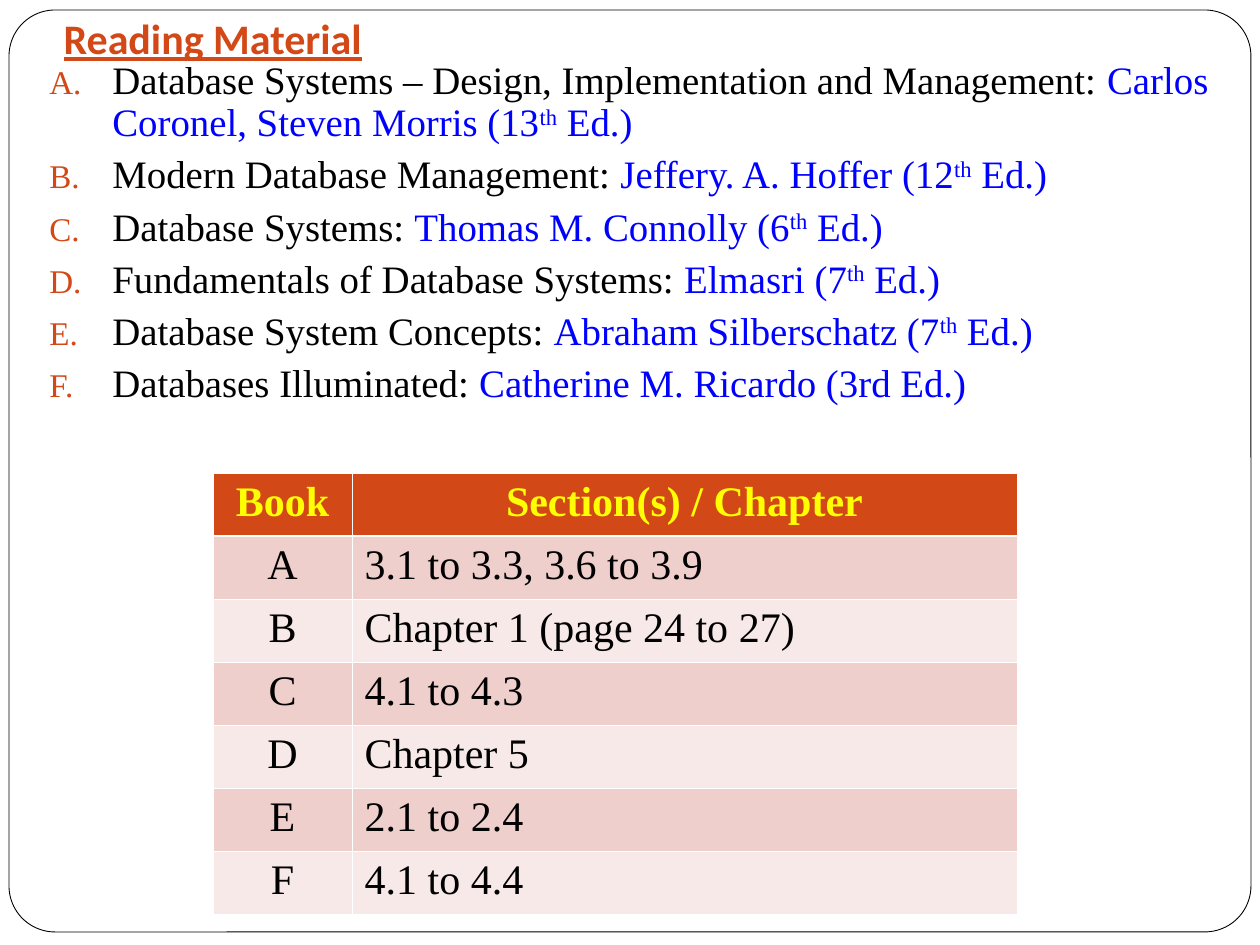
from lxml import etree
from pptx import Presentation
from pptx import util as u
from pptx.dml.color import RGBColor
from pptx.enum import shapes, text
from pptx.oxml import ns

PX_PER_INCH = 126
SERIF = "Times New Roman"
ORANGE, BLUE, YELLOW = "D34817", "0000FF", "FFFF00"
BLACK, WHITE = "000000", "FFFFFF"
BAND_COLOURS = ["EFCFCC", "F7E9E7"]

# Title, authors, edition suffix raised above the line, rest of the edition
BOOKS = [
    ("Database Systems – Design, Implementation and Management: ",
     "Carlos Coronel, Steven Morris (13", "th", " Ed.)"),
    ("Modern Database Management: ", "Jeffery. A. Hoffer (12", "th", " Ed.)"),
    ("Database Systems: ", "Thomas M. Connolly (6", "th", " Ed.)"),
    ("Fundamentals of Database Systems: ", "Elmasri (7", "th", " Ed.)"),
    ("Database System Concepts: ", "Abraham Silberschatz (7", "th", " Ed.)"),
    ("Databases Illuminated: ", "Catherine M. Ricardo (3rd Ed.)", "", ""),
]
CHAPTERS = [
    ("Book", "Section(s) / Chapter"),
    ("A", "3.1 to 3.3, 3.6 to 3.9"),
    ("B", "Chapter 1 (page 24 to 27)"),
    ("C", "4.1 to 4.3"),
    ("D", "Chapter 5"),
    ("E", "2.1 to 2.4"),
    ("F", "4.1 to 4.4"),
]


def px(length):
    return u.Emu(round(length * 914400 / PX_PER_INCH))


def rgb(colour):
    return RGBColor.from_string(colour)


def add_element(parent, tag, **attributes):
    return etree.SubElement(parent, ns.qn(tag), attributes)


def set_font(font, size, colour, name=SERIF, bold=False):
    font.name, font.size, font.bold = name, u.Pt(size), bold
    font.color.rgb = rgb(colour)


def add_frame(slide, box):
    """Put the rounded page frame behind the title."""
    frame = slide.shapes.add_shape(
        shapes.MSO_SHAPE.ROUNDED_RECTANGLE, *map(px, box))
    frame.adjustments[0] = 0.05
    frame.shadow.inherit = False
    frame.fill.solid()
    frame.fill.fore_color.rgb = rgb(WHITE)
    frame.line.color.rgb = rgb(BLACK)
    frame.line.width = u.Pt(0.5)
    slide.shapes.title._element.addprevious(frame._element)


def place_title(slide, box, wording):
    title = slide.shapes.title
    title.left, title.top, title.width, title.height = map(px, box)
    frame = title.text_frame
    frame.text = wording
    frame.auto_size = text.MSO_AUTO_SIZE.NONE
    frame.vertical_anchor = text.MSO_ANCHOR.BOTTOM
    frame.margin_left = frame.margin_right = frame.margin_bottom = u.Inches(0.1)
    frame.margin_top = u.Inches(0.05)
    paragraph = frame.paragraphs[0]
    paragraph.alignment = text.PP_ALIGN.LEFT
    set_font(paragraph.font, 24, ORANGE, "Calibri", bold=True)
    paragraph.font.underline = True


def add_letter(paragraph):
    """Number the paragraph A., B., C. with a hanging indent."""
    properties = paragraph._p.get_or_add_pPr()
    indent = px(63)
    properties.set("marL", str(indent))
    properties.set("indent", str(-indent))
    colour = add_element(properties, "a:buClr")
    add_element(colour, "a:srgbClr", val=ORANGE)
    add_element(properties, "a:buSzPct", val="85000")
    add_element(properties, "a:buFont", typeface=SERIF)
    add_element(properties, "a:buAutoNum", type="alphaUcPeriod")


def add_book_list(slide, box, books):
    frame = slide.shapes.add_textbox(*map(px, box)).text_frame
    frame.word_wrap = True
    for index, (name, authors, suffix, ending) in enumerate(books):
        paragraph = frame.add_paragraph() if index else frame.paragraphs[0]
        add_letter(paragraph)
        paragraph.line_spacing = 0.9
        paragraph.space_before = u.Pt(5.8 if index else 0)
        paragraph.font.name, paragraph.font.size = SERIF, u.Pt(22.2)
        parts = [(name, BLACK), (authors, BLUE), (suffix, BLUE), (ending, BLUE)]
        for wording, colour in parts:
            if not wording:
                continue
            run = paragraph.add_run()
            run.text = wording
            run.font.color.rgb = rgb(colour)
            if wording == suffix:
                run.font._element.set("baseline", "30000")


def set_borders(cell, widths):
    properties = cell._tc.get_or_add_tcPr()
    for side, width in widths.items():
        line = add_element(properties, f"a:ln{side}", w=str(u.Pt(width)))
        fill = add_element(line, "a:solidFill")
        add_element(fill, "a:srgbClr", val=WHITE)


def add_chapter_table(slide, box, rows, book_width):
    width, height = box[2:]
    table = slide.shapes.add_table(len(rows), 2, *map(px, box)).table
    table.columns[0].width = px(book_width)
    table.columns[1].width = px(width - book_width)
    for row_index, row in enumerate(rows):
        table.rows[row_index].height = px(height // len(rows))
        header = row_index == 0
        background = ORANGE if header else BAND_COLOURS[(row_index - 1) % 2]
        borders = {"L": 0.45, "R": 0.45,
                   "T": 1.5 if row_index == 1 else 0.45,
                   "B": 1.5 if header else 0.45}
        for column_index, wording in enumerate(row):
            cell = table.cell(row_index, column_index)
            cell.text = wording
            set_borders(cell, borders)
            cell.fill.solid()
            cell.fill.fore_color.rgb = rgb(background)
            paragraph = cell.text_frame.paragraphs[0]
            centred = header or column_index == 0
            paragraph.alignment = (
                text.PP_ALIGN.CENTER if centred else text.PP_ALIGN.LEFT)
            set_font(paragraph.font, 24, YELLOW if header else BLACK, bold=header)


def build_reading_slide(presentation):
    slide = presentation.slides.add_slide(presentation.slide_layouts[5])
    add_frame(slide, (9, 10, 1242, 922))
    place_title(slide, (51, 13, 949, 63), "Reading Material")
    add_book_list(slide, (37, 55, 1187, 422), BOOKS)
    add_chapter_table(slide, (213, 473, 804, 441), CHAPTERS, book_width=139)


def main():
    presentation = Presentation()
    presentation.slide_width, presentation.slide_height = px(1260), px(945)
    build_reading_slide(presentation)
    presentation.save("out.pptx")


if __name__ == "__main__":
    main()
